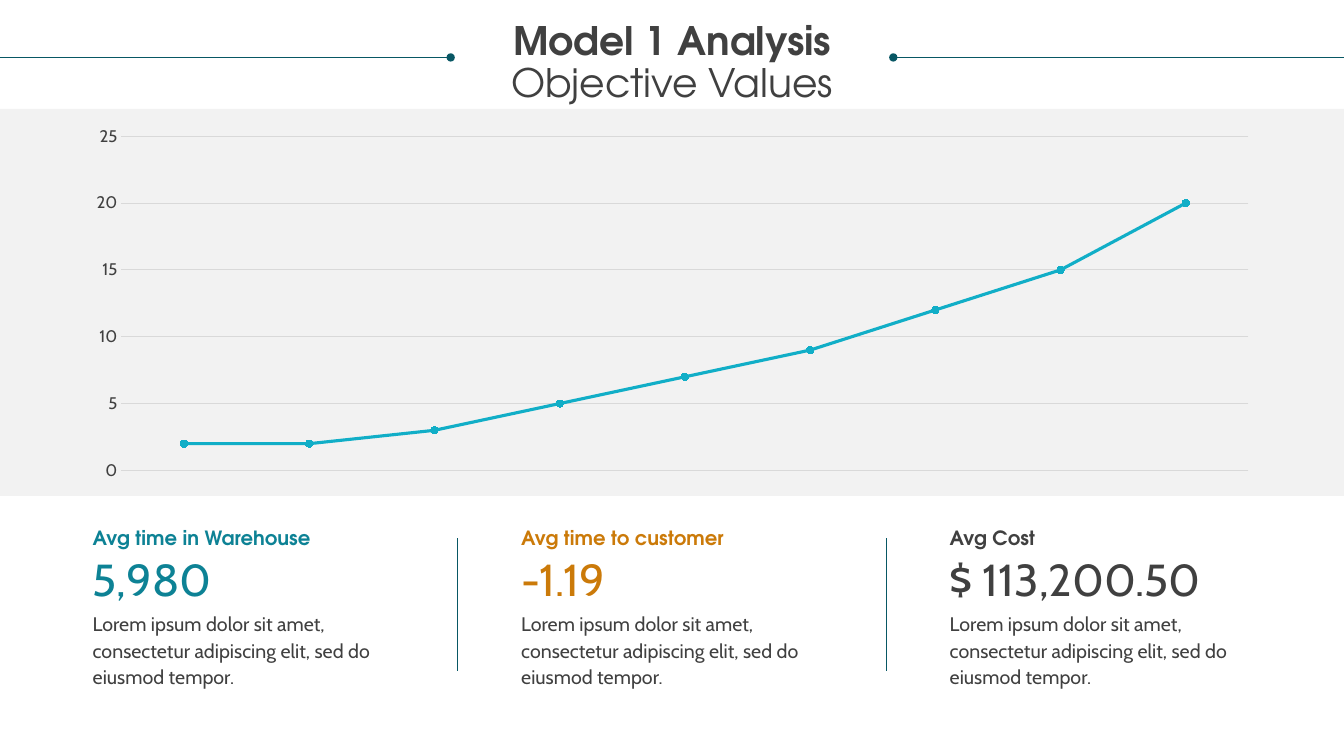
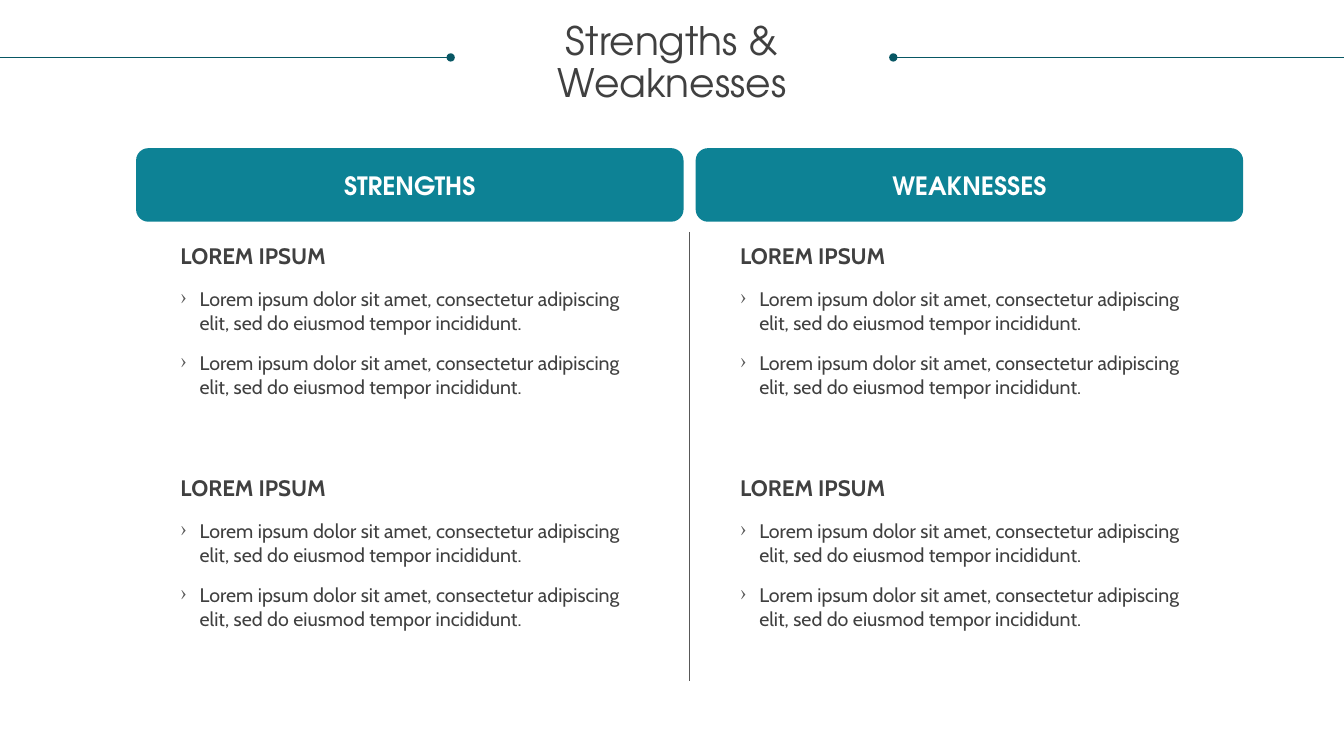
from lxml.etree import SubElement
from pptx import Presentation
from pptx.chart.data import CategoryChartData
from pptx.dml.color import RGBColor
from pptx.enum.chart import XL_CHART_TYPE, XL_MARKER_STYLE, XL_TICK_MARK
from pptx.enum.shapes import MSO_CONNECTOR, MSO_SHAPE
from pptx.enum.text import MSO_ANCHOR, MSO_AUTO_SIZE, PP_ALIGN
from pptx.oxml.ns import qn
from pptx.util import Inches, Pt

WIDTH, HEIGHT = 13.33, 7.5
HEADING, BODY = "TeX Gyre Adventor", "Cabin"
COLORS = {
    "text": "404040", "white": "FFFFFF", "band": "F2F2F2", "rule": "085764",
    "gray": "585858", "teal": "0D8295", "orange": "CB7A09",
    "series": "11AEC7", "grid": "D9D9D9",
}
# Title rules reach from the slide edges to a dot
RULE_Y, RULE_REACH = 0.57, 4.47
# Three metric columns on slide 1
METRIC_LEFT, METRIC_PITCH, METRIC_WIDTH, DIVIDER_OFFSET = 0.92, 4.25, 3, 3.62
# Two columns by two rows on slide 2
TAB_LEFT, TAB_TOP, TAB_WIDTH, TAB_HEIGHT = 1.35, 1.47, 5.43, 0.73
COLUMN_PITCH, ROW_PITCH = 5.55, 2.3
POINT_INSET, POINT_WIDTH, POINT_TOP = 0.44, 4.55, 2.4

LOREM = "Lorem ipsum dolor sit amet, consectetur adipiscing elit, sed do eiusmod tempor"


def rgb(name):
    return RGBColor.from_string(COLORS[name])


def style(font, size, family, color="text", bold=False):
    font.size, font.name, font.bold = Pt(size), family, bold
    font.color.rgb = rgb(color)


def add_text_frame(slide, left, top, width, height):
    frame = slide.shapes.add_textbox(
        Inches(left), Inches(top), Inches(width), Inches(height)).text_frame
    frame.word_wrap = True
    frame.auto_size = MSO_AUTO_SIZE.SHAPE_TO_FIT_TEXT
    frame.margin_left = frame.margin_top = 0
    frame.margin_right = frame.margin_bottom = 0
    return frame


def add_label(slide, text, box, size, family, color="text", bold=False, leading=None):
    paragraph = add_text_frame(slide, *box).paragraphs[0]
    paragraph.text = text
    paragraph.line_spacing = leading
    style(paragraph.font, size, family, color, bold)


def add_rule(slide, start, end, color, dotted=False):
    rule = slide.shapes.add_connector(
        MSO_CONNECTOR.STRAIGHT, *(Inches(value) for value in (*start, *end)))
    rule.line.color.rgb = rgb(color)
    rule.line.width = Pt(0.5)
    if dotted:
        SubElement(rule.line._get_or_add_ln(), qn("a:headEnd"), type="oval")
    SubElement(rule._element.spPr, qn("a:effectLst"))


def add_block(slide, preset, box, color):
    block = slide.shapes.add_shape(preset, *(Inches(value) for value in box))
    block.shadow.inherit = False
    block.fill.solid()
    block.fill.fore_color.rgb = rgb(color)
    block.line.fill.background()
    return block


def add_title(slide, first_line, second_line, first_bold=False):
    for edge, dot in ((0, RULE_REACH), (WIDTH, WIDTH - RULE_REACH)):
        add_rule(slide, (dot, RULE_Y), (edge, RULE_Y), "rule", dotted=True)
    paragraph = add_text_frame(slide, 0.25, 0.21, WIDTH - 0.5, 0.85).paragraphs[0]
    paragraph.alignment = PP_ALIGN.CENTER
    paragraph.line_spacing = 0.9
    style(paragraph.font, 28, HEADING)
    opening = paragraph.add_run()
    opening.text = first_line
    opening.font.bold = first_bold
    paragraph.add_line_break()
    paragraph.add_run().text = second_line


def add_objective_chart(slide, values):
    data = CategoryChartData()
    data.categories = [str(number) for number in range(1, len(values) + 1)]
    data.add_series("Series 1", values)
    chart = slide.shapes.add_chart(
        XL_CHART_TYPE.LINE_MARKERS, Inches(0.72), Inches(1.18),
        Inches(11.9), Inches(3.66), data).chart
    chart.has_legend = chart.has_title = False
    style(chart.font, 10, BODY)
    chart.category_axis.visible = False

    # Value axis
    axis = chart.value_axis
    axis.minimum_scale, axis.maximum_scale, axis.major_unit = 0, 25, 5
    axis.major_tick_mark = axis.minor_tick_mark = XL_TICK_MARK.NONE
    axis.format.line.fill.background()
    axis.major_gridlines.format.line.color.rgb = rgb("grid")
    axis.major_gridlines.format.line.width = Pt(0.75)
    style(axis.tick_labels.font, 12, BODY)

    # Line and markers
    plot = chart.plots[0]
    plot.vary_by_categories = False
    series = plot.series[0]
    series.smooth = False
    series.format.line.color.rgb = rgb("series")
    series.format.line.width = Pt(2.25)
    marker = series.marker
    marker.style, marker.size = XL_MARKER_STYLE.CIRCLE, 5
    marker.format.fill.solid()
    marker.format.fill.fore_color.rgb = rgb("series")
    marker.format.line.color.rgb = rgb("series")


def add_metric(slide, column, name, value, color):
    left = METRIC_LEFT + column * METRIC_PITCH
    add_label(slide, name, (left, 5.19, METRIC_WIDTH, 0.24), 14, HEADING,
              color, bold=True, leading=Pt(19))
    add_label(slide, value, (left, 5.47, METRIC_WIDTH, 0.54), 32, BODY, color)
    add_label(slide, LOREM + ".", (left, 6.04, METRIC_WIDTH, 0.78), 14, BODY,
              leading=Pt(19))


def add_bullets(slide, items, box):
    frame = add_text_frame(slide, *box)
    for index, item in enumerate(items):
        paragraph = frame.add_paragraph() if index else frame.paragraphs[0]
        paragraph.text = item
        properties = paragraph._p.get_or_add_pPr()
        properties.set("marL", str(Inches(0.19)))
        properties.set("indent", str(-Inches(0.19)))
        bullet_color = SubElement(properties, qn("a:buClr"))
        SubElement(bullet_color, qn("a:srgbClr"), val=COLORS["gray"])
        SubElement(properties, qn("a:buChar"), char="›")
        paragraph.space_before = Pt(12)
        style(paragraph.font, 14, BODY)


def add_tab(slide, column, text):
    tab = add_block(slide, MSO_SHAPE.ROUNDED_RECTANGLE,
                    (TAB_LEFT + column * COLUMN_PITCH, TAB_TOP, TAB_WIDTH, TAB_HEIGHT),
                    "teal")
    tab.text_frame.vertical_anchor = MSO_ANCHOR.MIDDLE
    paragraph = tab.text_frame.paragraphs[0]
    paragraph.text = text
    paragraph.alignment = PP_ALIGN.CENTER
    style(paragraph.font, 18, HEADING, "white", bold=True)


def add_point(slide, column, row):
    left = TAB_LEFT + POINT_INSET + column * COLUMN_PITCH
    top = POINT_TOP + row * ROW_PITCH
    add_label(slide, "LOREM IPSUM", (left, top, POINT_WIDTH, 0.27), 16, BODY, bold=True)
    add_bullets(slide, [LOREM + " incididunt."] * 2,
                (left, top + 0.45, POINT_WIDTH, 1.11))


def build_analysis(slide):
    add_block(slide, MSO_SHAPE.RECTANGLE, (0, 1.08, WIDTH, 3.84), "band")
    add_title(slide, "Model 1 Analysis", "Objective Values", first_bold=True)
    add_objective_chart(slide, (2, 2, 3, 5, 7, 9, 12, 15, 20))
    for gap in range(2):
        divider = METRIC_LEFT + DIVIDER_OFFSET + gap * METRIC_PITCH
        add_rule(slide, (divider, 5.34), (divider, 6.66), "rule")
    metrics = (
        ("Avg time in Warehouse", "5,980", "teal"),
        ("Avg time to customer", "-1.19", "orange"),
        ("Avg Cost", "$ 113,200.50", "text"),
    )
    for column, metric in enumerate(metrics):
        add_metric(slide, column, *metric)


def build_comparison(slide):
    add_title(slide, "Strengths &", "Weaknesses")
    middle = TAB_LEFT + (TAB_WIDTH + COLUMN_PITCH) / 2
    add_rule(slide, (middle, 2.3), (middle, 6.76), "gray")
    for column, heading in enumerate(("STRENGTHS", "WEAKNESSES")):
        add_tab(slide, column, heading)
        for row in range(2):
            add_point(slide, column, row)


def main():
    deck = Presentation()
    deck.slide_width, deck.slide_height = Inches(WIDTH), Inches(HEIGHT)
    for build in (build_analysis, build_comparison):
        build(deck.slides.add_slide(deck.slide_layouts[6]))
    deck.save("out.pptx")


main()
